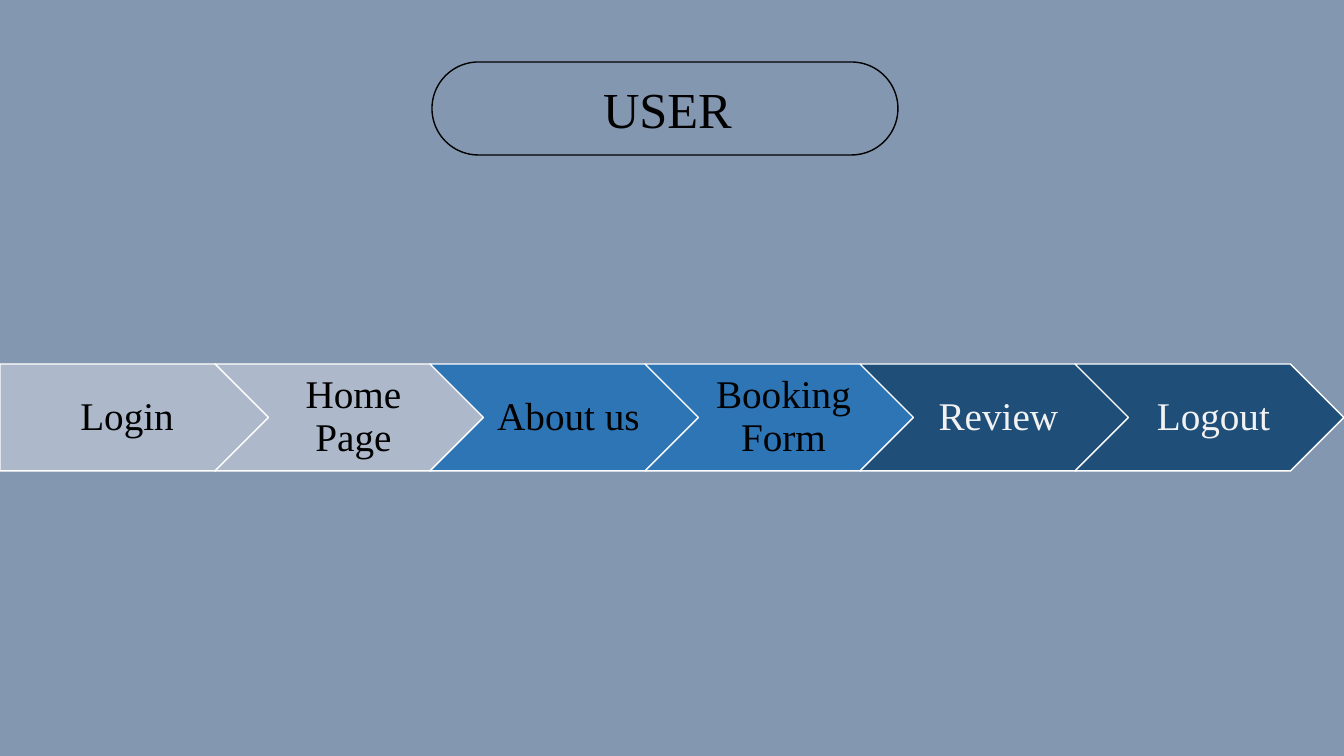
from pptx import Presentation
from pptx.dml.color import RGBColor
from pptx.enum.shapes import MSO_SHAPE
from pptx.enum.text import MSO_ANCHOR, MSO_AUTO_SIZE, PP_ALIGN
from pptx.util import Pt

PENTAGON, CHEVRON = MSO_SHAPE.PENTAGON, MSO_SHAPE.CHEVRON
ROUNDED = MSO_SHAPE.ROUNDED_RECTANGLE
TOP, MIDDLE = MSO_ANCHOR.TOP, MSO_ANCHOR.MIDDLE
LEFT, CENTER = PP_ALIGN.LEFT, PP_ALIGN.CENTER
NO_AUTOFIT = MSO_AUTO_SIZE.NONE

BACKGROUND = RGBColor(0x84, 0x97, 0xB0)
PALE = RGBColor(0xAD, 0xB9, 0xCA)
BLUE = RGBColor(0x2E, 0x75, 0xB6)
NAVY = RGBColor(0x1F, 0x4E, 0x79)
BLACK = RGBColor(0, 0, 0)
WHITE = RGBColor(0xFF, 0xFF, 0xFF)
OFF_WHITE = RGBColor(0xF2, 0xF2, 0xF2)
FONT = "Times New Roman"

TITLE = "USER"
STEPS = [
    ("Login", PALE, BLACK),
    ("Home Page", PALE, BLACK),
    ("About us", BLUE, BLACK),
    ("Booking Form", BLUE, BLACK),
    ("Review", NAVY, OFF_WHITE),
    ("Logout", NAVY, OFF_WHITE),
]

SLIDE_WIDTH, SLIDE_HEIGHT = 1344, 756
TITLE_BOX = (593, 73, 222, 71)
TITLE_FRAME = (432, 62, 466, 93)
STEP_TOP, STEP_WIDTH, STEP_HEIGHT = 364, 269, 107
STEP_PITCH = (SLIDE_WIDTH - STEP_WIDTH) // (len(STEPS) - 1)


def px(length):
    return round(length * 914400 / 100.8)


def add_outlined(slide, kind, box, line_color):
    shape = slide.shapes.add_shape(kind, *map(px, box))
    shape.shadow.inherit = False
    shape.line.color.rgb = line_color
    shape.line.width = Pt(1)
    return shape


def write(shape, text, size, color, alignment, anchor):
    frame = shape.text_frame
    frame.text = text
    frame.word_wrap = True
    frame.auto_size = NO_AUTOFIT
    frame.vertical_anchor = anchor
    paragraph = frame.paragraphs[0]
    paragraph.alignment = alignment
    font = paragraph.runs[0].font
    font.name, font.size = FONT, Pt(size)
    font.color.rgb = color
    return frame


def add_step(slide, index, text, fill, color):
    kind = CHEVRON if index else PENTAGON
    box = (index * STEP_PITCH, STEP_TOP, STEP_WIDTH, STEP_HEIGHT)
    shape = add_outlined(slide, kind, box, WHITE)
    shape.fill.solid()
    shape.fill.fore_color.rgb = fill
    frame = write(shape, text, 28, color, CENTER, MIDDLE)
    frame.margin_left = px(12 if index else 16)
    frame.margin_right = px(4)
    frame.margin_top = frame.margin_bottom = px(8)
    frame.paragraphs[0].line_spacing = 0.9


def main():
    presentation = Presentation()
    presentation.slide_width = px(SLIDE_WIDTH)
    presentation.slide_height = px(SLIDE_HEIGHT)
    slide = presentation.slides.add_slide(presentation.slide_layouts[5])
    slide.background.fill.solid()
    slide.background.fill.fore_color.rgb = BACKGROUND

    for index, step in enumerate(STEPS):
        add_step(slide, index, *step)

    title_frame = add_outlined(slide, ROUNDED, TITLE_FRAME, BLACK)
    title_frame.adjustments[0] = 0.5
    title_frame.fill.background()

    title = slide.shapes.title
    title.left, title.top, title.width, title.height = map(px, TITLE_BOX)
    write(title, TITLE, 36, BLACK, LEFT, TOP)

    presentation.save("out.pptx")


if __name__ == "__main__":
    main()
